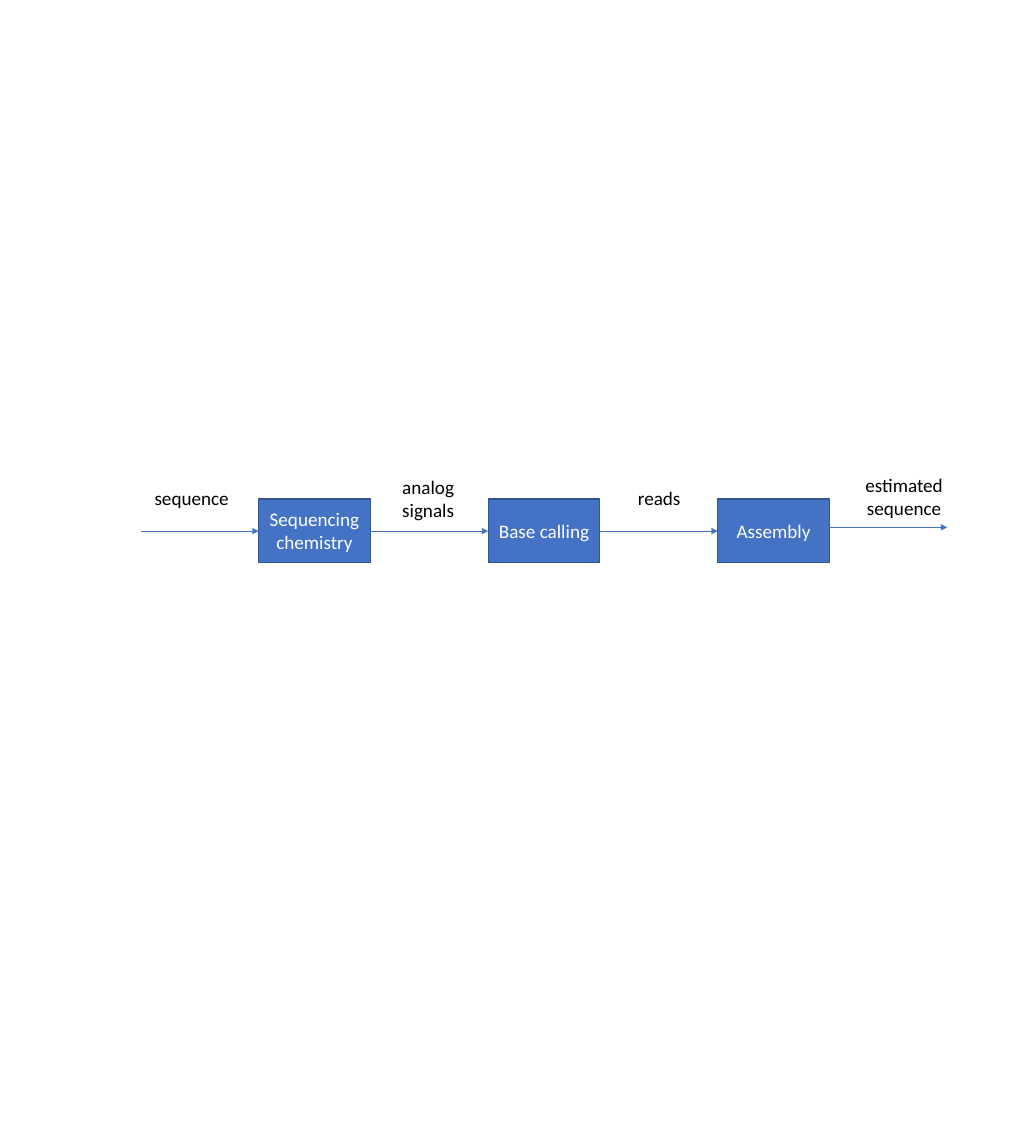
from lxml.etree import SubElement
from pptx import Presentation
from pptx.dml.color import RGBColor
from pptx.enum.shapes import MSO_CONNECTOR as Connector, MSO_SHAPE as Shape
from pptx.enum.text import MSO_ANCHOR as Anchor, MSO_AUTO_SIZE as AutoSize, PP_ALIGN as Align
from pptx.oxml.ns import qn
from pptx.util import Inches, Pt

BLUE = RGBColor(0x44, 0x72, 0xC4)
DARK_BLUE = RGBColor(0x32, 0x54, 0x91)
WHITE = RGBColor(0xFF, 0xFF, 0xFF)
BLACK = RGBColor(0x00, 0x00, 0x00)

STAGES = ["Sequencing chemistry", "Base calling", "Assembly"]
# Signal text with left, top, width and height of its label
SIGNALS = [
    ("sequence", 1.89, 6.31, 1.23, 0.4),
    ("analog signals", 5.07, 6.16, 1.05, 0.71),
    ("reads", 8.09, 6.31, 1.05, 0.4),
    ("estimated\nsequence", 10.69, 6.13, 2.25, 0.71),
]
# Height of the arrow into each stage, then out of the last one
ARROW_LEVELS = [6.94, 6.94, 6.94, 6.89]

FIRST_LEFT, STAGE_TOP = 3.38, 6.52
STAGE_WIDTH, STAGE_HEIGHT = 1.46, 0.83
PITCH = 3.0


def write_text(text_frame, text, color):
    text_frame.word_wrap = True
    text_frame.text = text
    for paragraph in text_frame.paragraphs:
        paragraph.alignment = Align.CENTER
        for run in paragraph.runs:
            run.font.name = "Calibri"
            run.font.size = Pt(18)
            run.font.color.rgb = color


def add_stage(slide, text, left):
    shape = slide.shapes.add_shape(Shape.RECTANGLE, Inches(left), Inches(STAGE_TOP),
                                   Inches(STAGE_WIDTH), Inches(STAGE_HEIGHT))
    shape.shadow.inherit = False
    shape.fill.solid()
    shape.fill.fore_color.rgb = BLUE
    shape.line.color.rgb = DARK_BLUE
    shape.line.width = Pt(1)
    shape.text_frame.vertical_anchor = Anchor.MIDDLE
    write_text(shape.text_frame, text, WHITE)


def add_label(slide, text, left, top, width, height):
    label = slide.shapes.add_textbox(Inches(left), Inches(top), Inches(width), Inches(height))
    write_text(label.text_frame, text, BLACK)
    label.text_frame.auto_size = AutoSize.SHAPE_TO_FIT_TEXT


def add_arrow(slide, start, end, level):
    arrow = slide.shapes.add_connector(Connector.STRAIGHT, Inches(start), Inches(level),
                                       Inches(end), Inches(level))
    arrow.line.color.rgb = BLUE
    arrow.line.width = Pt(0.5)
    # Arrowhead at the end, and no shadow
    SubElement(arrow.line._get_or_add_ln(), qn("a:tailEnd"), type="triangle")
    SubElement(arrow._element.spPr, qn("a:effectLst"))


def main():
    presentation = Presentation()
    presentation.slide_width = Inches(13.33)
    presentation.slide_height = Inches(15)
    slide = presentation.slides.add_slide(presentation.slide_layouts[6])

    # Processing stages
    for index, text in enumerate(STAGES):
        add_stage(slide, text, FIRST_LEFT + index * PITCH)

    # Arrows fill the gaps between stages
    for index, level in enumerate(ARROW_LEVELS):
        end = FIRST_LEFT + index * PITCH
        add_arrow(slide, end - PITCH + STAGE_WIDTH, end, level)

    # Signal names above the arrows
    for signal in SIGNALS:
        add_label(slide, *signal)

    presentation.save("out.pptx")


if __name__ == "__main__":
    main()
